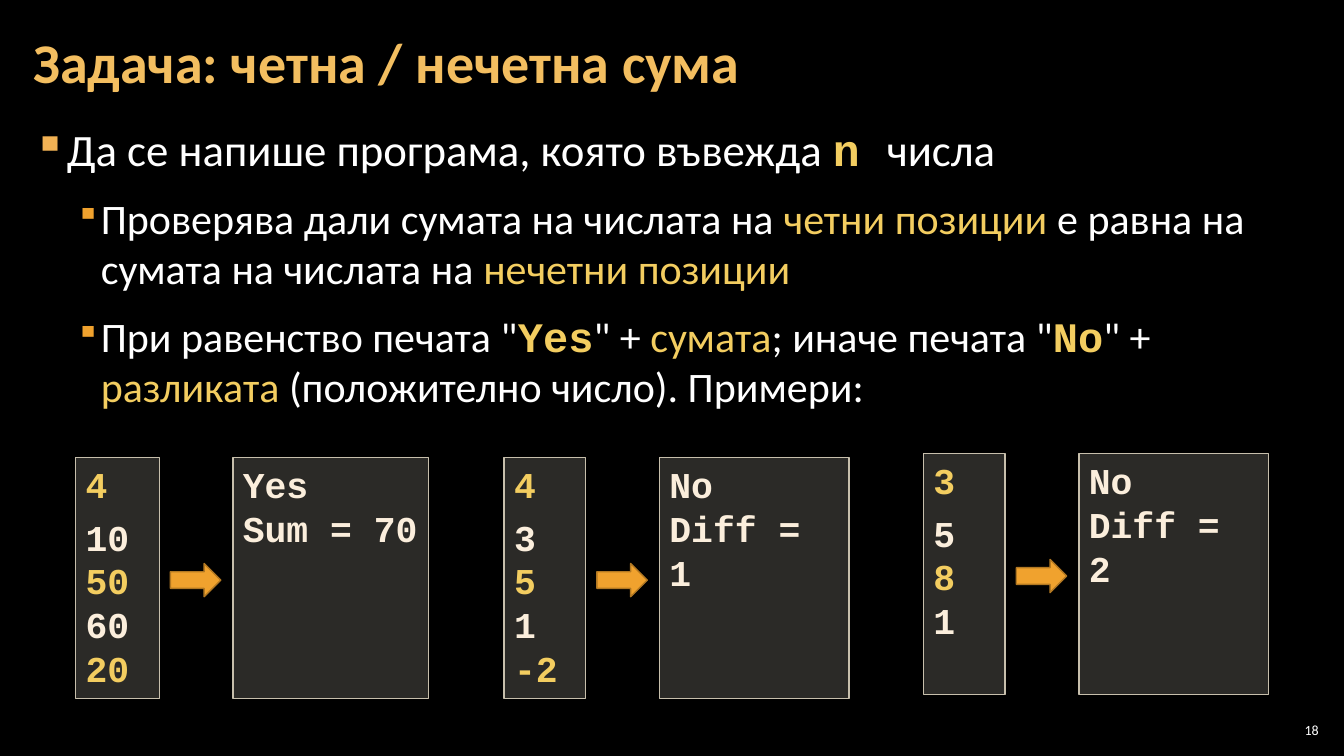
"""Build the slide about the even / odd sum task."""
from lxml import etree
from pptx import Presentation
from pptx import util as u
from pptx.dml.color import RGBColor
from pptx.enum import shapes, text
from pptx.oxml.ns import qn

COLORS = {
    "background": "000000", "plain": "FFFFFF", "title": "F3BE60", "key": "F3CD60",
    "code": "FBEEDC", "panel": "D9D5C7", "border": "C7BFAC",
    "arrow": "F0A22E", "arrow_edge": "B27822", "bullet": "F2B254",
}
BODY_FONT, CODE_FONT = "Calibri", "Courier New"
TITLE = "Задача: четна / нечетна сума"
PAGE = "18"

STYLES = {
    "plain": (BODY_FONT, "plain", False),
    "key": (BODY_FONT, "key", False),
    "code": (CODE_FONT, "key", True),
}
LEVELS = [
    {"size": 32, "left": 0.33, "hang": 0.33, "color": "bullet", "percent": 100},
    {"size": 30, "left": 0.67, "hang": 0.25, "color": "arrow", "percent": 80},
]
BULLETS = [
    (0, [("Да се напише програма, която въвежда ", "plain"), ("n ", "code"),
         ("числа", "plain")]),
    (1, [("Проверява дали сумата на числата на ", "plain"), ("четни позиции ", "key"),
         ("е равна на сумата на числата на ", "plain"), ("нечетни позиции", "key")]),
    (1, [("При равенство печата \"", "plain"), ("Yes", "code"), ("\" + ", "plain"),
         ("сумата", "key"), ("; иначе печата \"", "plain"), ("No", "code"),
         ("\" + ", "plain"), ("разликата ", "key"),
         ("(положително число). Примери:", "plain")]),
]
EXAMPLES = [
    {"left": 0.75, "top": 4.54, "widths": (0.83, 1.94),
     "input": ["4", "10", "50", "60", "20"], "output": ["Yes", "Sum = 70"]},
    {"left": 5, "top": 4.54, "widths": (0.81, 1.88),
     "input": ["4", "3", "5", "1", "-2"], "output": ["No", "Diff = 1"]},
    {"left": 9.16, "top": 4.5, "widths": (0.81, 1.88),
     "input": ["3", "5", "8", "1"], "output": ["No", "Diff = 2"]},
]
PANEL_HEIGHT, PANEL_GAP = 2.39, 0.73
ARROW_GAP, ARROW_DROP, ARROW_SIZE = 0.11, 1.05, (0.5, 0.33)


def rgb(name):
    return RGBColor.from_string(COLORS[name])


def box(left, top, width, height):
    return [u.Inches(value) for value in (left, top, width, height)]


def add_run(paragraph, words, size, font, color, bold=False):
    run = paragraph.add_run()
    run.text = words
    run.font.size = u.Pt(size)
    run.font.name = font
    run.font.bold = bold
    run.font.color.rgb = rgb(color)


def prepare_frame(shape, anchor, side, edge):
    frame = shape.text_frame
    frame.word_wrap = True
    frame.auto_size = text.MSO_AUTO_SIZE.NONE
    frame.vertical_anchor = anchor
    frame.margin_left = frame.margin_right = u.Inches(side)
    frame.margin_top = frame.margin_bottom = u.Inches(edge)
    return frame


def paragraphs_for(frame, items):
    for index, item in enumerate(items):
        yield (frame.add_paragraph() if index else frame.paragraphs[0]), item


def set_bullet(paragraph, level):
    properties = paragraph._p.get_or_add_pPr()
    properties.set("marL", str(u.Inches(level["left"])))
    properties.set("indent", str(-u.Inches(level["hang"])))
    color = etree.SubElement(properties, qn("a:buClr"))
    etree.SubElement(color, qn("a:srgbClr"), val=COLORS[level["color"]])
    etree.SubElement(properties, qn("a:buSzPct"), val=str(level["percent"] * 1000))
    etree.SubElement(properties, qn("a:buChar"), char="▪")


def add_filled(slide, kind, place, fill, line):
    shape = slide.shapes.add_shape(kind, *box(*place))
    shape.shadow.inherit = False
    shape.fill.solid()
    shape.fill.fore_color.rgb = rgb(fill)
    shape.line.color.rgb = rgb(line)
    shape.line.width = u.Pt(1)
    return shape


def add_panel(slide, place, lines, alternate):
    panel = add_filled(slide, shapes.MSO_SHAPE.RECTANGLE, place, "panel", "border")
    color = panel.fill._xPr.find(qn("a:solidFill")).find(qn("a:srgbClr"))
    etree.SubElement(color, qn("a:alpha"), val="20000")
    frame = prepare_frame(panel, text.MSO_ANCHOR.TOP, 0.1, 0.05)
    for paragraph, (index, line) in paragraphs_for(frame, list(enumerate(lines))):
        paragraph.alignment = text.PP_ALIGN.LEFT
        if alternate and index == 1:
            paragraph.space_before = u.Pt(6)
        tint = "key" if alternate and index % 2 == 0 else "code"
        add_run(paragraph, line, 26, CODE_FONT, tint, True)


def add_example(slide, example):
    left, top = example["left"], example["top"]
    input_width, output_width = example["widths"]
    right = left + input_width
    add_panel(slide, (left, top, input_width, PANEL_HEIGHT), example["input"], True)
    add_panel(slide, (right + PANEL_GAP, top, output_width, PANEL_HEIGHT),
              example["output"], False)
    add_filled(slide, shapes.MSO_SHAPE.RIGHT_ARROW,
               (right + ARROW_GAP, top + ARROW_DROP, *ARROW_SIZE), "arrow", "arrow_edge")


def add_title(slide):
    title = slide.shapes.title
    title.left, title.top, title.width, title.height = box(0.21, 0.04, 10.47, 1.21)
    paragraph = prepare_frame(title, text.MSO_ANCHOR.MIDDLE, 0.12, 0.04).paragraphs[0]
    paragraph.alignment = text.PP_ALIGN.LEFT
    paragraph.line_spacing = 0.9
    add_run(paragraph, TITLE, 40, BODY_FONT, "title", True)


def add_body(slide):
    body = slide.shapes.add_textbox(*box(0.21, 1.17, 12.91, 6.09))
    frame = prepare_frame(body, text.MSO_ANCHOR.TOP, 0.12, 0.04)
    for paragraph, (depth, runs) in paragraphs_for(frame, BULLETS):
        level = LEVELS[depth]
        paragraph.level = depth
        paragraph.space_before = paragraph.space_after = u.Pt(6)
        set_bullet(paragraph, level)
        for words, style in runs:
            add_run(paragraph, words, level["size"], *STYLES[style])


def add_page_number(slide):
    number = slide.shapes.add_textbox(*box(12.65, 7.14, 0.47, 0.21))
    paragraph = prepare_frame(number, text.MSO_ANCHOR.MIDDLE, 0.04, 0.04).paragraphs[0]
    paragraph.alignment = text.PP_ALIGN.RIGHT
    add_run(paragraph, PAGE, 10, BODY_FONT, "plain")


def main():
    presentation = Presentation()
    presentation.slide_width = u.Inches(13.33)
    presentation.slide_height = u.Inches(7.5)
    slide = presentation.slides.add_slide(presentation.slide_layouts[5])
    slide.background.fill.solid()
    slide.background.fill.fore_color.rgb = rgb("background")
    add_page_number(slide)
    add_body(slide)
    add_title(slide)
    for example in EXAMPLES:
        add_example(slide, example)
    presentation.save("out.pptx")


if __name__ == "__main__":
    main()
